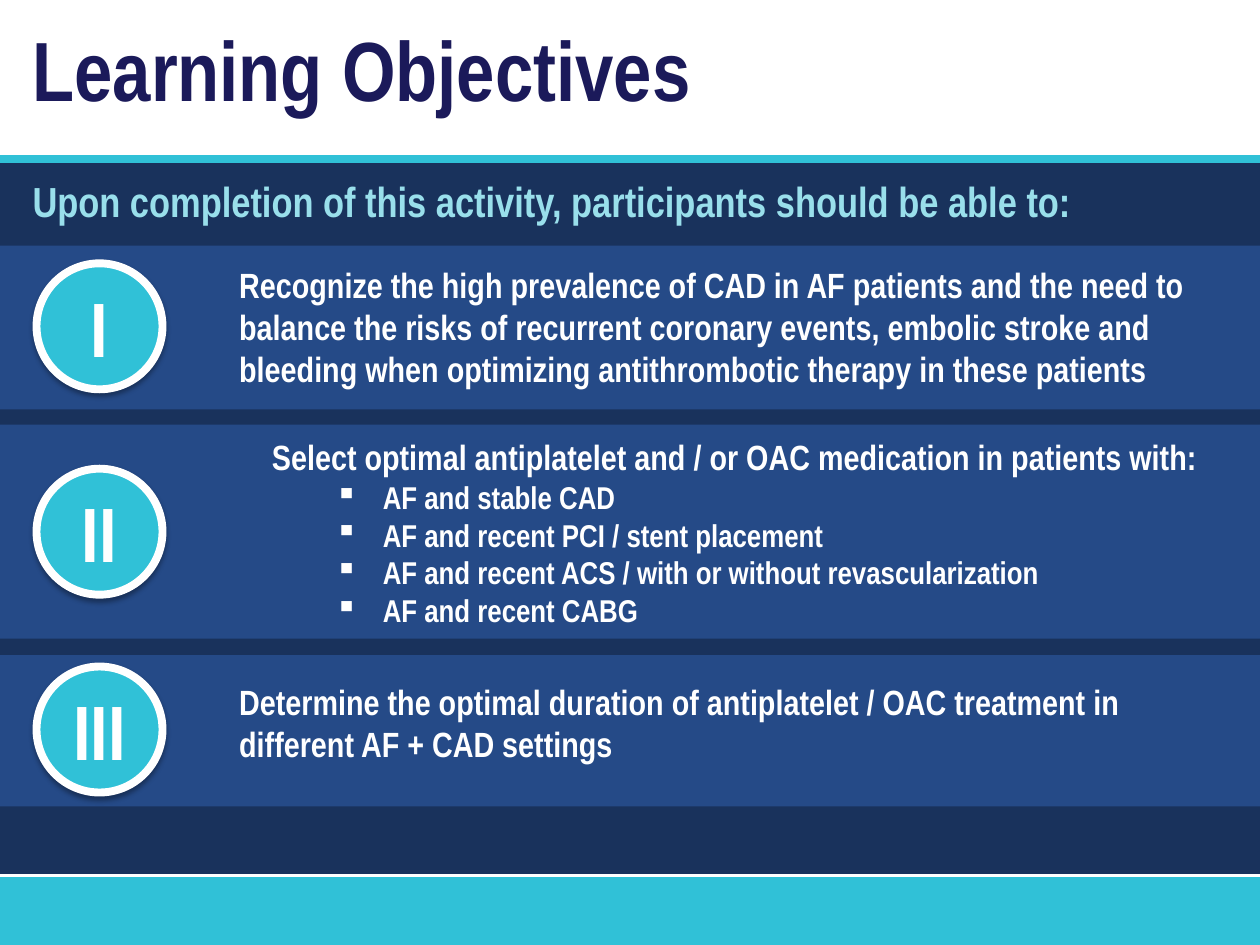
from lxml.etree import SubElement
from pptx import Presentation
from pptx.dml.color import RGBColor
from pptx.enum.shapes import MSO_CONNECTOR, MSO_SHAPE
from pptx.enum.text import MSO_ANCHOR, PP_ALIGN
from pptx.oxml.ns import qn
from pptx.util import Emu, Inches, Pt

COLORS = {"navy": "19325C", "blue": "254A87", "teal": "30C1D7",
          "pale": "99DFEB", "ink": "1B1A5A", "white": "FFFFFF"}
FONT = "Arial Narrow"
TITLE = "Learning Objectives"
LEAD_IN = "Upon completion of this activity, participants should be able to:"
OBJECTIVES = [
    {"numeral": "I", "band": (1.95, 1.3), "badge_top": 2.09, "text_box": (1.8, 2.04, 1.11),
     "statement": "Recognize the high prevalence of CAD in AF patients and the need to "
                  "balance the risks of recurrent coronary events, embolic stroke and "
                  "bleeding when optimizing antithrombotic therapy in these patients",
     "groups": []},
    {"numeral": "II", "band": (3.37, 1.7), "badge_top": 3.72, "text_box": (2.06, 3.41, 1.65),
     "statement": "Select optimal antiplatelet and / or OAC medication in patients with:",
     "groups": ["AF and stable CAD", "AF and recent PCI / stent placement",
                "AF and recent ACS / with or without revascularization",
                "AF and recent CABG"]},
    {"numeral": "III", "band": (5.2, 1.2), "badge_top": 5.29, "text_box": (1.8, 5.35, 0.77),
     "statement": "Determine the optimal duration of antiplatelet / OAC treatment in "
                  "different AF + CAD settings",
     "groups": []},
]
WIDTH, HEIGHT = 10, 7.5
BODY_TOP, FOOTER_TOP = 1.26, 6.96
BADGE_LEFT, BADGE_SIZE = 0.29, 1
TEXT_RIGHT = 9.71


def color(key):
    return RGBColor.from_string(COLORS[key])


def write(paragraph, text, size=20, tint="white", align=None, bullet=None):
    if bullet:
        properties = paragraph._p.get_or_add_pPr()
        properties.set("marL", str(Inches(0.88)))
        properties.set("indent", str(Inches(-0.38)))
        SubElement(properties, qn("a:buChar"), char=bullet)
        paragraph.level = 1
    paragraph.alignment = align
    run = paragraph.add_run()
    run.text = text
    run.font.name, run.font.size, run.font.bold = FONT, Pt(size), True
    run.font.color.rgb = color(tint)


def add_text(slide, box, text, **style):
    frame = slide.shapes.add_textbox(*map(Inches, box)).text_frame
    frame.word_wrap = True
    write(frame.paragraphs[0], text, **style)
    return frame


def add_panel(slide, box, fill, kind=MSO_SHAPE.RECTANGLE, outline=None, shadow=False):
    panel = slide.shapes.add_shape(kind, *map(Inches, box))
    panel.fill.solid()
    panel.fill.fore_color.rgb = color(fill)
    if outline:
        panel.line.color.rgb, panel.line.width = color(outline), Pt(4.5)
    else:
        panel.line.fill.background()
    panel.shadow.inherit = False
    if shadow:
        effects = panel._element.spPr.find(qn("a:effectLst"))
        outer = SubElement(effects, qn("a:outerShdw"), blurRad=str(Pt(3.1)),
                           dist=str(Pt(1.8)), dir="5400000", rotWithShape="0")
        tint = SubElement(outer, qn("a:srgbClr"), val="000000")
        SubElement(tint, qn("a:alpha"), val="35000")
    return panel


def add_rule(slide, top, tint, weight):
    rule = slide.shapes.add_connector(MSO_CONNECTOR.STRAIGHT, Emu(0), Inches(top),
                                      Inches(WIDTH), Inches(top))
    rule.line.color.rgb, rule.line.width = color(tint), Pt(weight)
    SubElement(rule._element.spPr, qn("a:effectLst"))


def add_objective(slide, objective):
    band_top, band_height = objective["band"]
    add_panel(slide, (0, band_top, WIDTH, band_height), "blue")
    badge = add_panel(slide, (BADGE_LEFT, objective["badge_top"], BADGE_SIZE, BADGE_SIZE),
                      "teal", MSO_SHAPE.FLOWCHART_CONNECTOR, "white", shadow=True)
    badge.text_frame.word_wrap = False
    badge.text_frame.vertical_anchor = MSO_ANCHOR.MIDDLE
    write(badge.text_frame.paragraphs[0], objective["numeral"], size=44,
          align=PP_ALIGN.CENTER)
    left, top, height = objective["text_box"]
    frame = add_text(slide, (left, top, TEXT_RIGHT - left, height), objective["statement"])
    for group in objective["groups"]:
        write(frame.add_paragraph(), group, size=18, bullet="▪")


def main():
    """Build the learning objectives slide."""
    deck = Presentation()
    deck.slide_width, deck.slide_height = Inches(WIDTH), Inches(HEIGHT)
    slide = deck.slides.add_slide(deck.slide_layouts[6])
    add_panel(slide, (0, BODY_TOP, WIDTH, FOOTER_TOP - BODY_TOP), "navy")
    add_panel(slide, (0, FOOTER_TOP, WIDTH, HEIGHT - FOOTER_TOP), "teal", shadow=True)
    add_rule(slide, BODY_TOP, "teal", 4.5)
    add_rule(slide, FOOTER_TOP - 0.01, "white", 1.5)
    for objective in OBJECTIVES:
        add_objective(slide, objective)
    add_text(slide, (0.16, 0.09, 8.82, 0.91), TITLE, size=48, tint="ink")
    add_text(slide, (0.16, 1.34, 9.49, 0.6), LEAD_IN, size=24, tint="pale")
    deck.save("out.pptx")


if __name__ == "__main__":
    main()
